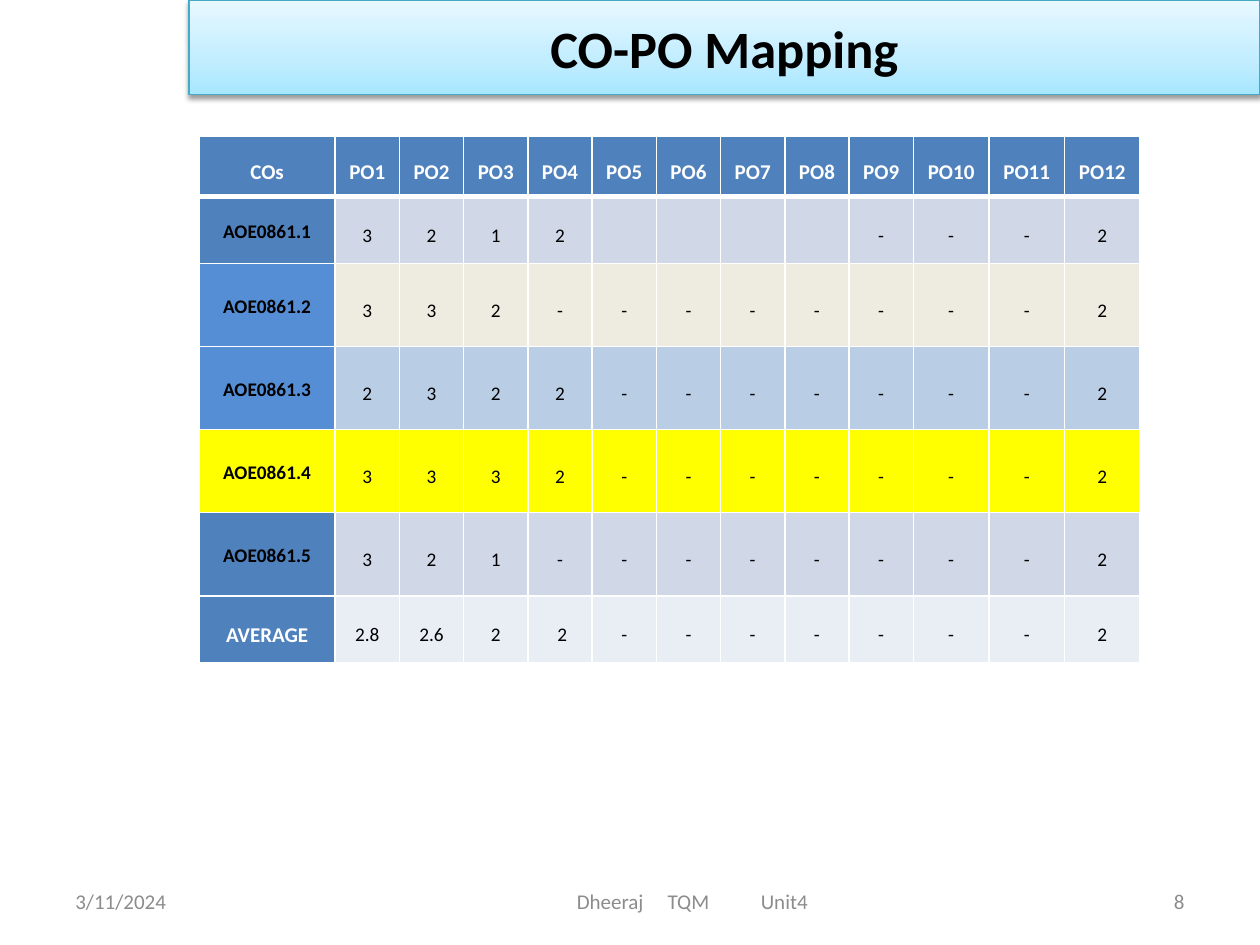
"""Build the CO-PO mapping slide with its outcome table and footer."""
from lxml import etree
from pptx import Presentation
from pptx.dml.color import RGBColor
from pptx.enum.text import MSO_ANCHOR as Anchor, PP_ALIGN as Align
from pptx.oxml import parse_xml
from pptx.oxml.ns import nsdecls, qn
from pptx.util import Inches, Pt

COLORS = {
    "white": "FFFFFF", "black": "000000", "gray": "8C8C8C",
    "blue": "4F81BD", "bright": "558ED5", "lavender": "D0D8E8",
    "cream": "EEECE1", "sky": "B9CDE5", "yellow": "FFFF00",
    "pale": "E9EDF4", "teal": "46AAC5",
}
GRADIENT = [(0, "A7E6FF"), (35, "C1EDFF"), (100, "E7F8FF")]


def write(frame, text, size=12, color="black", bold=False, align=Align.CENTER,
          spacing=None, tabs=()):
    frame.word_wrap = True
    frame.vertical_anchor = Anchor.MIDDLE
    para = frame.paragraphs[0]
    if tabs:
        tab_list = etree.SubElement(para._p.get_or_add_pPr(), qn("a:tabLst"))
        for stop in tabs:
            etree.SubElement(tab_list, qn("a:tab"), pos=str(Inches(stop)), algn="l")
    para.alignment = align
    if spacing:
        para.line_spacing = spacing
    span = para.add_run()
    span.text = text
    span.font.name = "Calibri"
    span.font.size = Pt(size)
    span.font.bold = bold
    span.font.color.rgb = RGBColor.from_string(COLORS[color])


def set_borders(cell, widths):
    properties = cell._tc.get_or_add_tcPr()
    for index, (side, width) in enumerate(zip("LRTB", widths)):
        properties.insert(index, parse_xml(
            f'<a:ln{side} {nsdecls("a")} w="{Pt(width)}"><a:solidFill>'
            f'<a:srgbClr val="{COLORS["white"]}"/></a:solidFill></a:ln{side}>'))


deck = Presentation()
deck.slide_width, deck.slide_height = Inches(10), Inches(7.5)
page = deck.slides.add_slide(deck.slide_layouts[5])

title = page.shapes.title
title.left, title.top = Inches(1.5), Inches(0)
title.width, title.height = Inches(8.5), Inches(0.75)
stops = "".join(f'<a:gs pos="{place * 1000}"><a:srgbClr val="{shade}"/></a:gs>'
                for place, shade in GRADIENT)
shape_properties = title._element.spPr
shape_properties.append(parse_xml(
    f'<a:prstGeom {nsdecls("a")} prst="rect"><a:avLst/></a:prstGeom>'))
shape_properties.append(parse_xml(
    f'<a:gradFill {nsdecls("a")} rotWithShape="1"><a:gsLst>{stops}</a:gsLst>'
    '<a:lin ang="16200000" scaled="0"/></a:gradFill>'))
title.line.color.rgb = RGBColor.from_string(COLORS["teal"])
title.line.width = Pt(0.75)
shape_properties.append(parse_xml(
    f'<a:effectLst {nsdecls("a")}><a:outerShdw blurRad="{Pt(3.1)}" dist="{Pt(1.6)}" '
    'dir="5400000" rotWithShape="0"><a:srgbClr val="000000"><a:alpha val="38000"/>'
    '</a:srgbClr></a:outerShdw></a:effectLst>'))
write(title.text_frame, "CO-PO Mapping", size=30, bold=True)

dashes = ["-"] * 7
rows = [
    (0.48, "blue", "blue", ["COs"] + [f"PO{number}" for number in range(1, 13)]),
    (0.53, "blue", "lavender",
     ["AOE0861.1", "3", "2", "1", "2", "", "", "", "", "-", "-", "-", "2"]),
    (0.66, "bright", "cream", ["AOE0861.2", "3", "3", "2", "-", *dashes, "2"]),
    (0.66, "bright", "sky", ["AOE0861.3", "2", "3", "2", "2", *dashes, "2"]),
    (0.66, "yellow", "yellow", ["AOE0861.4", "3", "3", "3", "2", *dashes, "2"]),
    (0.66, "blue", "lavender", ["AOE0861.5", "3", "2", "1", "-", *dashes, "2"]),
    (0.53, "blue", "pale", ["AVERAGE", "2.8", "2.6", "2", " 2", *dashes, "2"]),
]
column_widths = [1.08] + [0.51] * 9 + [0.6] * 3
table = page.shapes.add_table(
    len(rows), len(column_widths), Inches(1.58), Inches(1.08),
    Inches(sum(column_widths)), Inches(sum(row[0] for row in rows))).table
for column, width in zip(table.columns, column_widths):
    column.width = Inches(width)

for row_index, (height, label_fill, value_fill, texts) in enumerate(rows):
    table.rows[row_index].height = Inches(height)
    for column_index, text in enumerate(texts):
        cell = table.cell(row_index, column_index)
        is_label = column_index == 0
        is_heading = row_index == 0 or text == "AVERAGE"
        cell.fill.solid()
        cell.fill.fore_color.rgb = RGBColor.from_string(
            COLORS[label_fill if is_label else value_fill])
        set_borders(cell, (1, 1, 3 if row_index == 1 else 1, 3 if row_index == 0 else 1))
        cell.margin_left = cell.margin_right = Inches(0.07)
        cell.margin_top = cell.margin_bottom = 0
        cell.vertical_anchor = Anchor.MIDDLE
        if text:
            write(cell.text_frame, text, size=12 if is_heading else 11,
                  color="white" if is_heading else "black",
                  bold=is_label or is_heading,
                  spacing=1.15 if is_label and not is_heading else 1.5)

footers = [
    (0.5, 2.33, "3/11/2024", Align.LEFT, ()),
    (2.75, 5.5, "\tDheeraj\tTQM\tUnit4", Align.LEFT, (1.73, 2.45, 3.19)),
    (7.17, 2.33, "8", Align.RIGHT, ()),
]
for left, width, text, align, tabs in footers:
    box = page.shapes.add_textbox(Inches(left), Inches(6.95), Inches(width), Inches(0.4))
    write(box.text_frame, text, color="gray", align=align, tabs=tabs)

deck.save("out.pptx")
